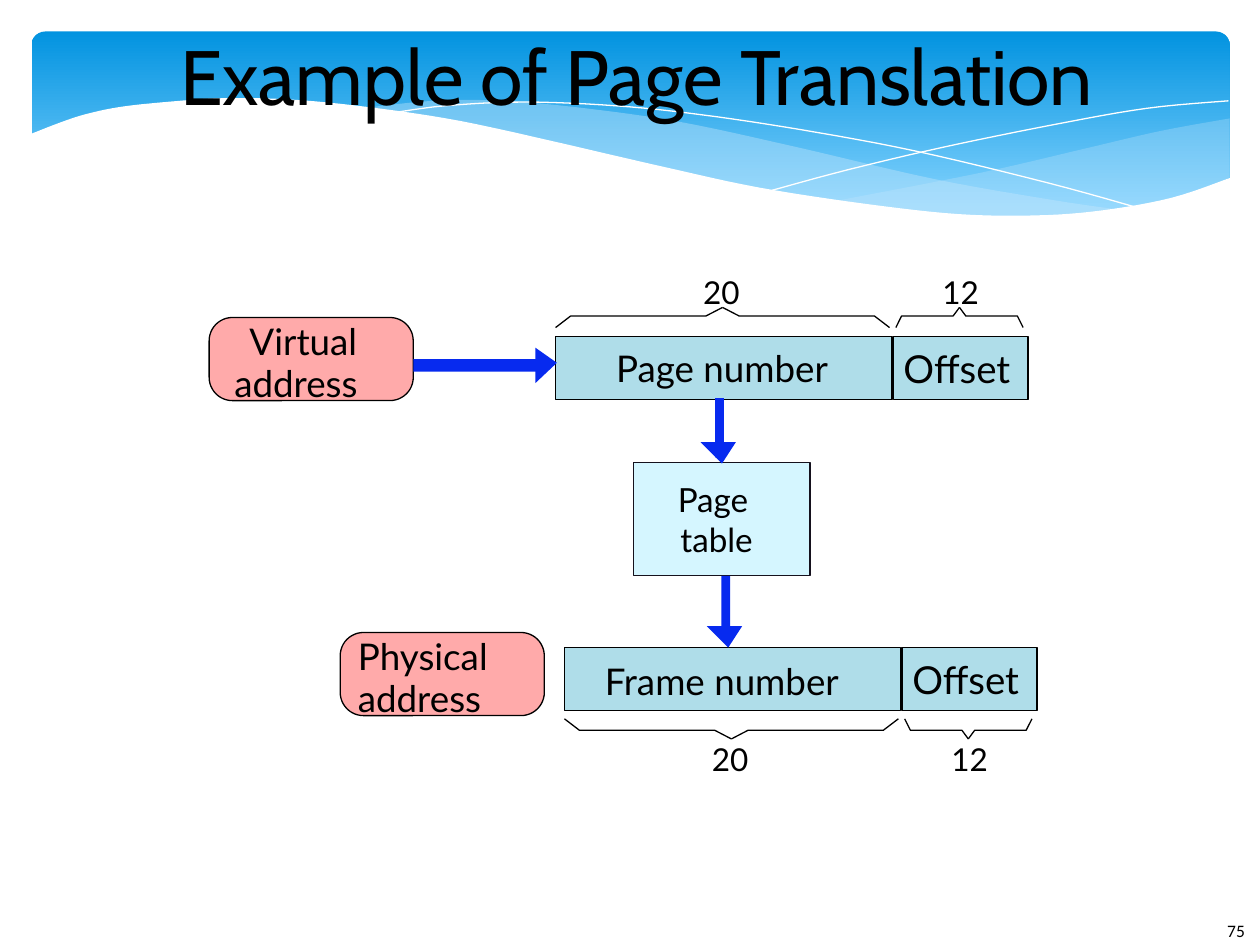
from itertools import chain
from lxml import etree
from pptx import Presentation
from pptx.dml.color import RGBColor as RGB
from pptx.enum.shapes import MSO_SHAPE as Shape
from pptx.enum.text import MSO_ANCHOR as Anchor, PP_ALIGN as Align
from pptx.oxml.ns import qn
from pptx.util import Inches, Pt

COLORS = {
    "ink": "000000", "paper": "FFFFFF", "sky": "0293E0", "haze": "83D3FE",
    "veil": "C6E7FC", "field": "AFDDE9", "table": "D5F6FF",
    "table_edge": "15111D", "address": "FFAAAA", "arrow": "072AEF",
}
COLUMNS, ROWS = 100, 75

deck = Presentation()
deck.slide_width, deck.slide_height = Inches(10), Inches(7.5)
COL, ROW = deck.slide_width / COLUMNS, deck.slide_height / ROWS
slide = deck.slides.add_slide(deck.slide_layouts[6])


def color(name):
    return RGB.from_string(COLORS[name])


def grid(*lengths):
    return [round(n * (ROW if i % 2 else COL)) for i, n in enumerate(lengths)]


def paint(shape, fill=None, line=None, alpha=None):
    shape.shadow.inherit = False
    if fill:
        shape.fill.solid()
        shape.fill.fore_color.rgb = color(fill)
    else:
        shape.fill.background()
    if alpha:
        tint = shape.fill._xPr.find(".//" + qn("a:srgbClr"))
        etree.SubElement(tint, qn("a:alpha")).set("val", str(alpha * 1000))
    if line:
        shape.line.color.rgb = color(line)
        shape.line.width = Pt(0)
    else:
        shape.line.fill.background()
    return shape


def block(box, fill, line=None, kind=Shape.RECTANGLE):
    return paint(slide.shapes.add_shape(kind, *grid(*box)), fill, line)


def outline(points, close=False, **look):
    start, *rest = [grid(*point) for point in points]
    pen = slide.shapes.build_freeform(*start)
    pen.add_line_segments(rest, close=close)
    return paint(pen.convert_to_shape(), **look)


def label(x, y, text, size, width, font="Lato"):
    box = slide.shapes.add_textbox(*grid(x, y, width, size * 0.185))
    frame = box.text_frame
    frame.margin_left = frame.margin_right = 0
    frame.margin_top = frame.margin_bottom = 0
    frame.word_wrap = False
    frame.text = text
    run = frame.paragraphs[0].runs[0]
    run.font.size, run.font.name = Pt(size), font
    run.font.color.rgb = color("ink")
    return box


def smooth(*knots, steps=6):
    padded = [knots[0], *knots, knots[-1]]
    points = [knots[0]]
    for a, b, c, d in zip(padded, padded[1:], padded[2:], padded[3:]):
        for t in (n / steps for n in range(1, steps + 1)):
            points.append(tuple(
                (2 * q + (r - p) * t + (2 * p - 5 * q + 4 * r - s) * t ** 2
                 + (3 * q - p - 3 * r + s) * t ** 3) / 2
                for p, q, r, s in zip(a, b, c, d)))
    return points


def wave(*curves, **look):
    outline(list(chain(*(smooth(*knots) for knots in curves))), close=True, **look)


def banner(left, top, width, height):
    sky = block((left, top, width, height), "sky", kind=Shape.ROUNDED_RECTANGLE)
    sky.adjustments[0] = 0.07
    sky.fill.gradient()
    sky.fill.gradient_angle = 270
    for stop, shade, position in zip(sky.fill.gradient_stops, ("sky", "haze"), (0, 0.9)):
        stop.color.rgb, stop.position = color(shade), position
    right = left + width

    wave([(right, 9.4), (92.1, 10.4), (86.1, 11.8), (77.9, 13.7), (66.1, 16)],
         [(66.1, 16), (71.9, 16.7), (76.9, 17.1), (81.4, 17.2), (86.3, 17),
          (90.5, 16.3), (94.2, 15.4), (right, 14.1)], fill="veil", alpha=29)
    wave([(89.3, 16.7), (83.7, 15.9), (74.1, 14.2), (62.9, 11.6), (54.1, 9.7),
          (46.5, 8.6), (39.9, 8), (34.4, 8), (28.6, 8.6)],
         [(28.6, 8.6), (36.2, 9.7), (44.9, 11.6), (53, 13.5), (61.8, 15.3),
          (69.5, 16.5), (76.1, 17.1), (81.8, 17.3), (85.7, 17.1), (89.3, 16.7)],
         fill="veil", alpha=40)
    outline(smooth((30.9, 9), (35.3, 8.4), (41.6, 8.1), (48.9, 8.4), (55.6, 9.1),
                   (63.6, 10.3), (72.7, 12), (83.1, 14.5), (90.7, 16.6)), line="paper")
    outline(smooth((61.3, 15.1), (67.2, 13.5), (74.8, 11.7), (83.6, 9.9),
                   (91, 8.6), (97.5, 8)), line="paper")
    wave([(97.7, 14.1), (93, 15.7), (87.5, 16.7), (82.3, 17.1), (76.1, 17),
          (68.8, 16.2), (60.3, 14.9), (52.9, 13.3), (44.7, 11.4)],
         [(44.7, 11.4), (36.5, 9.6), (29.2, 8.5), (23, 7.9), (17.7, 7.8),
          (13.2, 8.1), (9.5, 8.5), (6.7, 9.1), (4.6, 9.8), (2.3, 10.7)],
         [(2.3, 22.4), (97.7, 22.4)], fill="paper")


def title(left, top, width, height):
    heading = label(left, top, "Example of Page Translation", 44, width, "Cabin")
    heading.height = round(height * ROW)
    frame = heading.text_frame
    frame.word_wrap, frame.vertical_anchor = True, Anchor.MIDDLE
    frame.paragraphs[0].alignment = Align.CENTER


def brace(left, base, width, rise):
    profile = (0, 0), (0.09, 0.57), (0.9, 0.57), (1, 1)
    for x, half in ((left, width / 2), (left + width, -width / 2)):
        outline([(x + half * along, base + rise * up) for along, up in profile],
                line="ink")


def address_fields(left, top, height, name, name_at, name_width, above):
    number_width, offset_start, offset_width = 26.7, 26.8, 10.7
    block((left, top, number_width, height), "field", "ink")
    block((left + offset_start, top, offset_width, height), "field", "ink")
    label(left + name_at[0], top + name_at[1], name, 21, name_width)
    label(left + 27.6, top + 0.7, "Offset", 22, 9.9)
    base = top - 0.7 if above else top + height + 0.65
    rise, count_gap = (-1.6, -4.3) if above else (1.6, 1.7)
    for bits, start, width, count in (("20", 0, 26.5, 11.7), ("12", 27, 10.1, 30.7)):
        brace(left + start, base, width, rise)
        label(left + count, base + count_gap, bits, 18, 3.9)


def address_tag(left, top, kind, kind_at, kind_width, address_at):
    tag = block((left, top, 16.2, 6.6), "address", "ink", Shape.ROUNDED_RECTANGLE)
    tag.adjustments[0] = 0.28
    label(left + kind_at, top + 0.1, kind, 21, kind_width)
    label(left + address_at, top + 3.4, "address", 21, 11.6)


def page_table(left, top, width, height):
    block((left, top, width, height), "table", "table_edge")
    label(left + 3.5, top + 1.3, "Page", 19, 7.7)
    label(left + 3.7, top + 4.5, "table", 19, 7.2)


def right_arrow(left, middle, tip):
    block((left, middle - 0.5, 10.2, 1), "arrow")
    outline([(tip - 1.7, middle - 1.4), (tip - 1.7, middle + 1.4),
             (tip, middle - 0.2)], close=True, fill="arrow")


def down_arrow(middle, top, tip):
    block((middle - 0.35, top, 0.7, 4.7), "arrow")
    outline([(middle + 1.3, tip - 1.7), (middle - 1.5, tip - 1.7),
             (middle + 0.2, tip)], close=True, fill="arrow")


def page_number():
    number = label(97.4, 73, "75", 10, 1.6, "Calibri")
    number.height = round(1.7 * ROW)


banner(2.5, 2.5, 95.1, 15.6)
page_number()
title(10, 0.8, 81.1, 10.2)
page_table(50.3, 36.7, 14, 9)
address_tag(27, 50.2, "Physical", 1.4, 12.1, 1.4)
address_tag(16.6, 25.2, "Virtual", 3.2, 9.5, 2)
address_fields(44.1, 26.7, 5, "Page number", (4.8, 0.7), 19.7, above=True)
address_fields(44.8, 51.4, 5, "Frame number", (3.2, 0.9), 21.4, above=False)
right_arrow(32.8, 29, 44.2)
down_arrow(57.1, 31.6, 36.8)
down_arrow(57.6, 45.7, 51.4)

deck.save("out.pptx")
